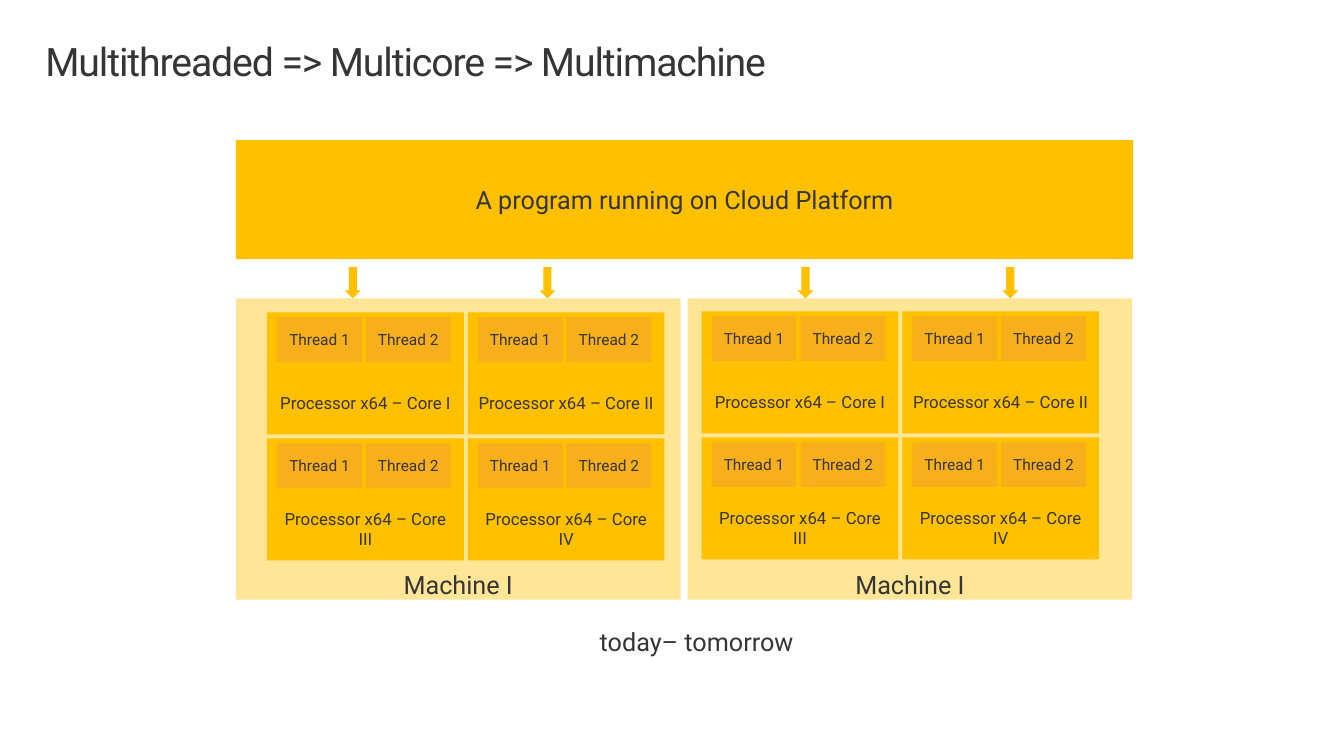
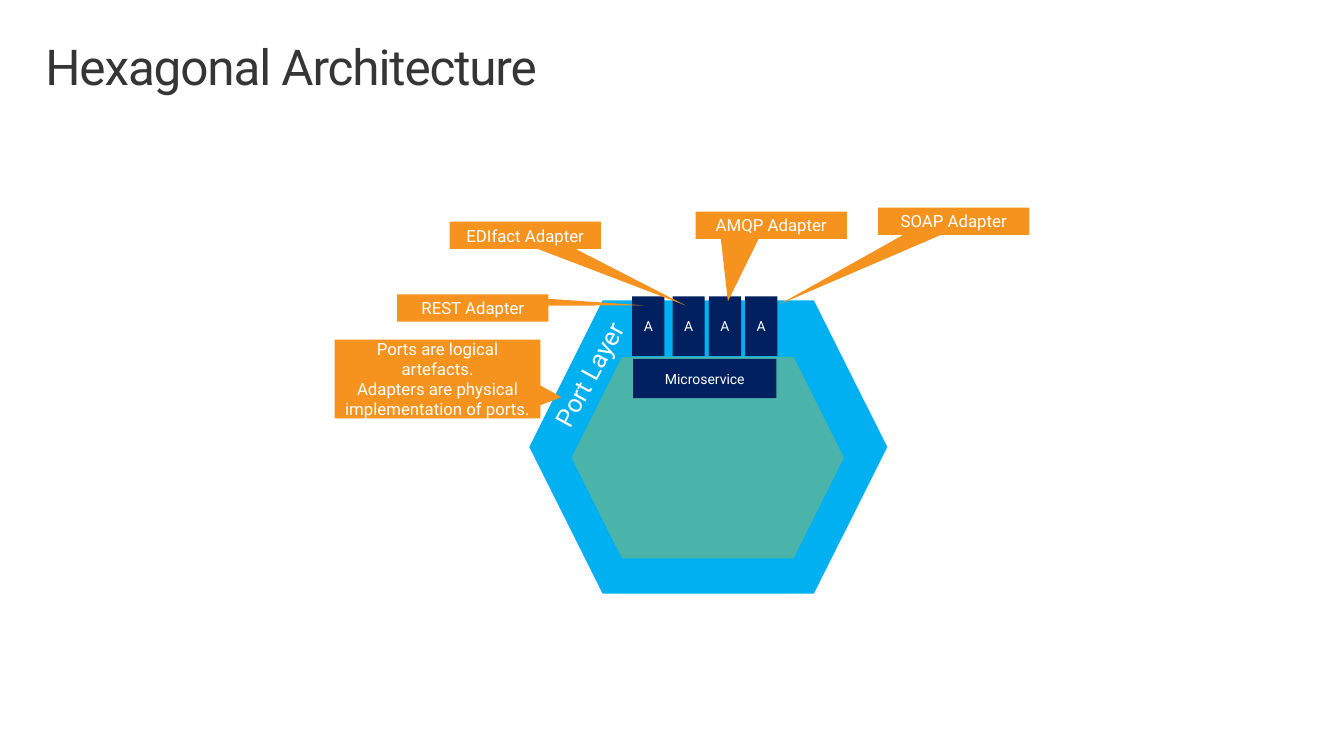
import pptx
import pptx.util
import pptx.dml.color
import pptx.enum.shapes
import pptx.enum.text
import pptx.oxml
import pptx.oxml.ns

In, Pt = pptx.util.Inches, pptx.util.Pt
SHAPE = pptx.enum.shapes.MSO_SHAPE
ANCHOR = pptx.enum.text.MSO_ANCHOR
ALIGN = pptx.enum.text.PP_ALIGN

FONT = "Roboto"
INK, WHITE = "353535", "FFFFFF"
AMBER, THREAD_AMBER = "FFC000", "F7AF1B"
BLUE, NAVY, ORANGE = "00B0F0", "002060", "F6921E"

# Slide 1: left edge of each machine, left edge and top of its core grid
MACHINES = [(6.82, 6.96, 3.09), (2.34, 2.65, 3.1)]
MACHINE_NAME = "Machine I"
CORES = [["Core I", "Core II"], ["Core III", "Core IV"]]
CORE_SIZE, CORE_GAP = (1.95, 1.21), 0.04
THREADS = ["Thread 1", "Thread 2"]
THREAD_SIZE, THREAD_GAP = (0.84, 0.44), 0.04
ARROW_LEFTS = [3.42, 5.35, 7.91, 9.94]

# Slide 2: text, box (left, top, width, height), tip of the pointer
ADAPTER_LEFTS = [6.27, 6.67, 7.03, 7.39]
CALLOUTS = [
    ("SOAP Adapter", (8.71, 2.06, 1.5, 0.27), (7.73, 3.02)),
    ("EDIfact Adapter", (4.46, 2.2, 1.5, 0.27), (6.8, 3.03)),
    ("REST Adapter", (3.94, 2.92, 1.5, 0.27), (6.39, 3.03)),
    ("AMQP Adapter", (6.9, 2.1, 1.5, 0.27), (7.22, 2.99)),
    ("Ports are logical artefacts.\n"
     "Adapters are physical implementation of ports.",
     (3.32, 3.37, 2.04, 0.78), (5.57, 3.94)),
]


def rgb(value):
    return pptx.dml.color.RGBColor.from_string(value)


def write(tf, text, size, color, align=None):
    tf.text = text
    tf.word_wrap = True
    for p in tf.paragraphs:
        p.alignment = align
        p.font.name = FONT
        p.font.size = Pt(size)
        p.font.color.rgb = rgb(color)


def add_block(shapes, kind, box, fill, text="", size=12, color=INK, alpha=None):
    """Add a borderless filled shape with centred text; alpha is in percent."""
    sp = shapes.add_shape(kind, *map(In, box))
    sp.shadow.inherit = False
    sp.fill.solid()
    sp.fill.fore_color.rgb = rgb(fill)
    sp.line.fill.background()
    if alpha:
        clr = sp.fill._xPr.find(".//" + pptx.oxml.ns.qn("a:srgbClr"))
        clr.append(pptx.oxml.parse_xml(
            f'<a:alpha {pptx.oxml.ns.nsdecls("a")} val="{alpha * 1000}"/>'))
    if text:
        write(sp.text_frame, text, size, color, ALIGN.CENTER)
        sp.text_frame.vertical_anchor = ANCHOR.MIDDLE
    return sp


def add_label(s, box, text, color, rotation=0):
    sp = s.shapes.add_textbox(*map(In, box))
    sp.rotation = rotation
    write(sp.text_frame, text, 18, color)


def title_layout(prs):
    """Place the title once, on the layout that both slides use."""
    layout = prs.slide_layouts[5]
    title = layout.placeholders[0]
    title.left, title.top, title.width, title.height = map(
        In, (0.29, 0.32, 12.75, 0.98))
    tf = title.text_frame
    tf.margin_left = tf.margin_right = In(0.16)
    tf.margin_top = tf.margin_bottom = In(0.1)
    tf.vertical_anchor = ANCHOR.TOP
    tf.auto_size = pptx.enum.text.MSO_AUTO_SIZE.NONE
    return layout


def add_slide(prs, layout, title, size):
    s = prs.slides.add_slide(layout)
    tf = s.shapes.title.text_frame
    write(tf, title, size, INK, ALIGN.LEFT)
    p = tf.paragraphs[0]
    p.line_spacing = 0.9
    p.runs[0].font._element.set("spc", "-80")
    return s


def add_core(shapes, left, top, name):
    core = add_block(shapes, SHAPE.RECTANGLE, (left, top, *CORE_SIZE), AMBER,
                     f"Processor x64 – {name}")
    core.text_frame.margin_top = In(0.63)
    for i, thread in enumerate(THREADS):
        x = left + 0.1 + i * (THREAD_SIZE[0] + THREAD_GAP)
        add_block(shapes, SHAPE.RECTANGLE, (x, top + 0.05, *THREAD_SIZE),
                  THREAD_AMBER, thread, 11)


def build_machines(s):
    for machine_left, cores_left, cores_top in MACHINES:
        machine = add_block(s.shapes, SHAPE.RECTANGLE,
                            (machine_left, 2.96, 4.41, 2.99), AMBER,
                            MACHINE_NAME, 18, alpha=41)
        machine.text_frame.vertical_anchor = ANCHOR.BOTTOM
        machine.text_frame.margin_bottom = 0
        cores = s.shapes.add_group_shape().shapes
        for row, names in enumerate(CORES):
            for col, name in enumerate(names):
                add_core(cores, cores_left + col * (CORE_SIZE[0] + CORE_GAP),
                         cores_top + row * (CORE_SIZE[1] + CORE_GAP), name)
    add_block(s.shapes, SHAPE.RECTANGLE, (2.34, 1.39, 8.9, 1.18), AMBER,
              "A program running on Cloud Platform", 18)
    for left in ARROW_LEFTS:
        add_block(s.shapes, SHAPE.DOWN_ARROW, (left, 2.65, 0.16, 0.31), AMBER)
    add_label(s, (5.85, 6.16, 2.14, 0.4), "today– tomorrow", INK)


def build_hexagon(s):
    add_block(s.shapes, SHAPE.HEXAGON, (5.25, 2.98, 3.55, 2.91), BLUE)
    for left in ADAPTER_LEFTS:
        add_block(s.shapes, SHAPE.RECTANGLE, (left, 2.94, 0.32, 0.59), NAVY,
                  "A", 10, WHITE)
    add_block(s.shapes, SHAPE.HEXAGON, (5.67, 3.54, 2.7, 2), AMBER, alpha=29)
    add_label(s, (5.03, 3.27, 1.89, 0.4), "Port Layer", WHITE, 298.7)
    add_block(s.shapes, SHAPE.RECTANGLE, (6.28, 3.56, 1.42, 0.39), NAVY,
              "Microservice", 10, WHITE)
    for text, box, (tip_x, tip_y) in CALLOUTS:
        left, top, width, height = box
        sp = add_block(s.shapes, SHAPE.RECTANGULAR_CALLOUT, box, ORANGE,
                       text, 12, WHITE)
        sp.adjustments[0] = (tip_x - left) / width - 0.5
        sp.adjustments[1] = (tip_y - top) / height - 0.5


def main():
    prs = pptx.Presentation()
    prs.slide_width, prs.slide_height = In(13.33), In(7.5)
    layout = title_layout(prs)
    build_machines(add_slide(
        prs, layout, "Multithreaded => Multicore => Multimachine", 28))
    build_hexagon(add_slide(prs, layout, "Hexagonal Architecture", 35.3))
    prs.save("out.pptx")


if __name__ == "__main__":
    main()
